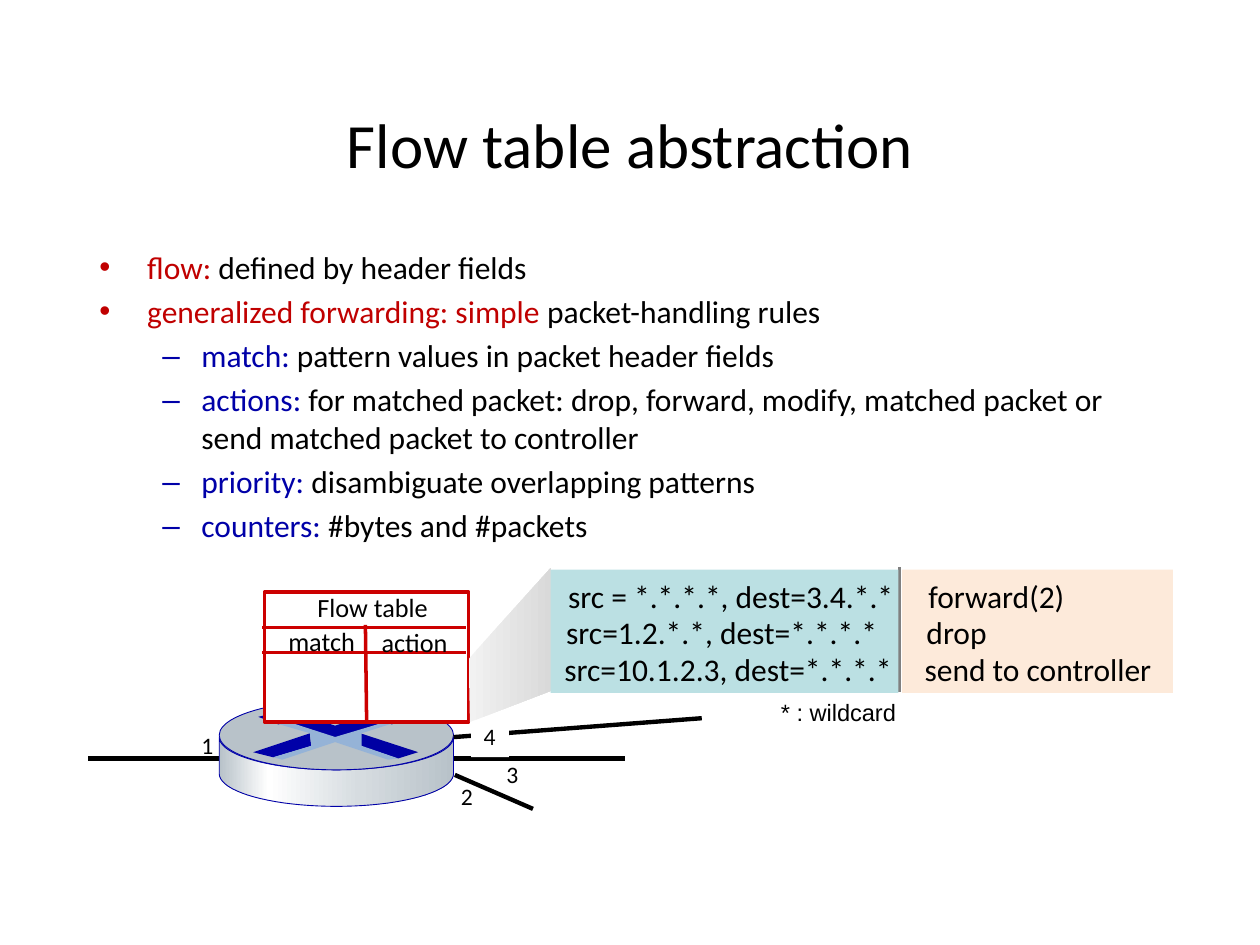
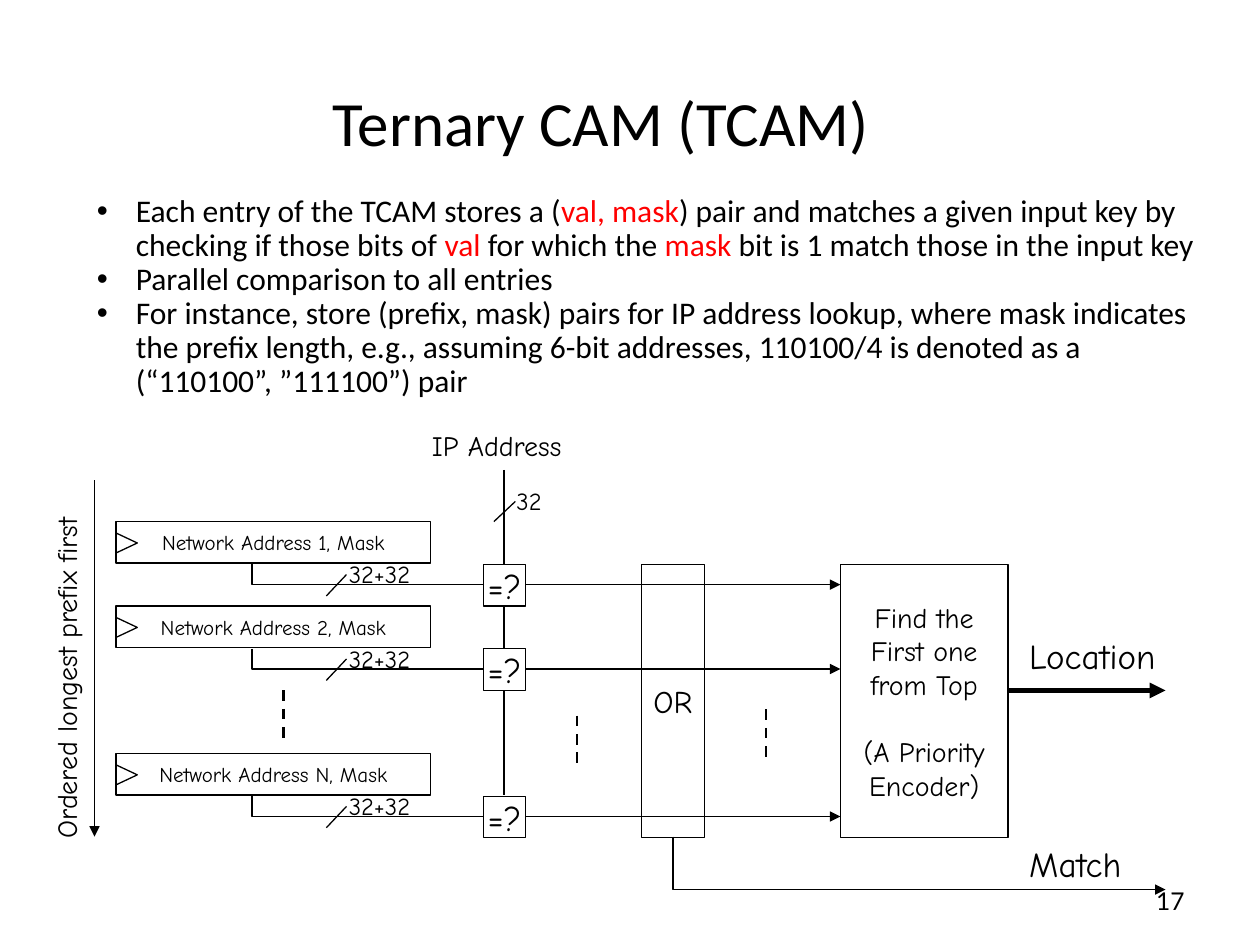
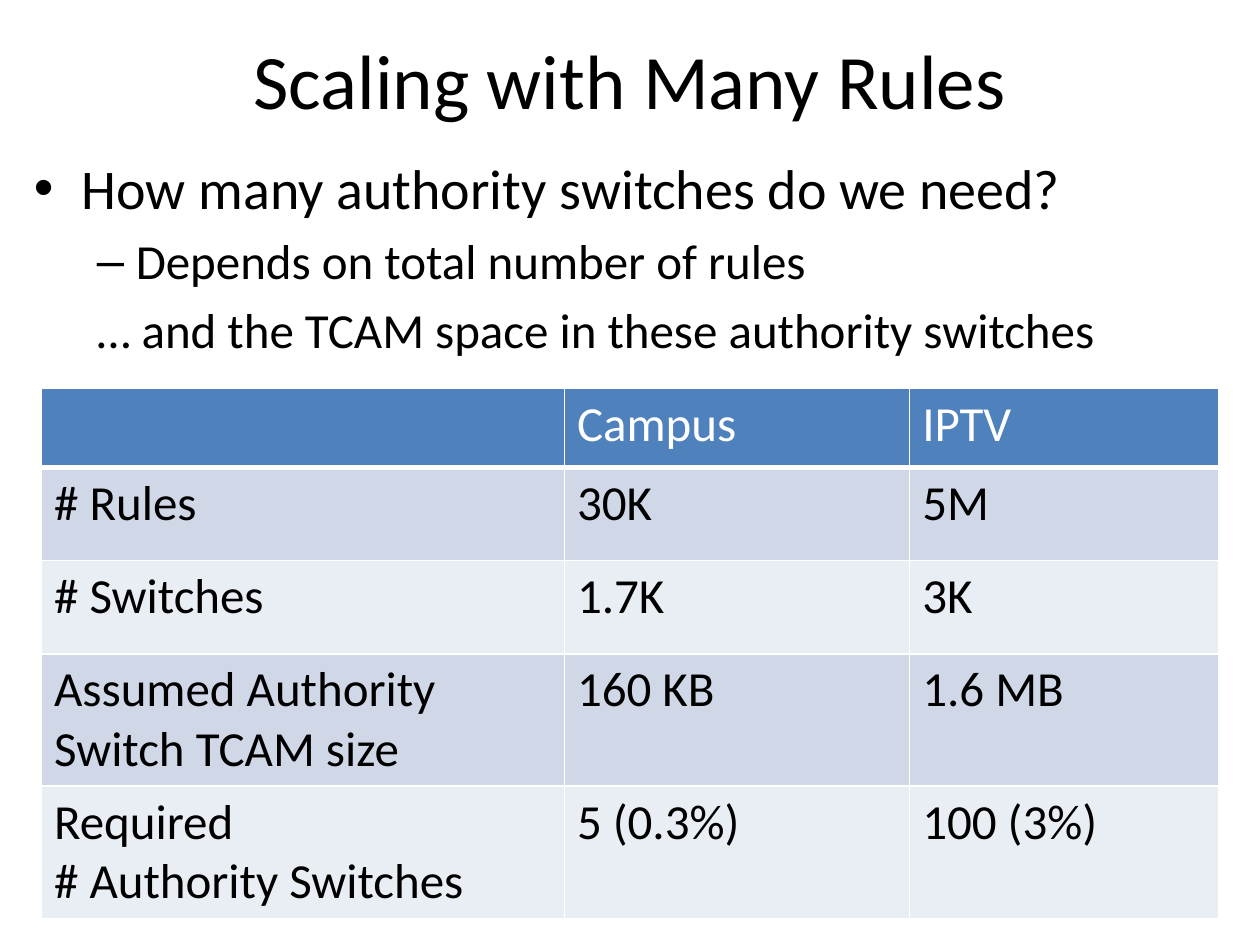
from dataclasses import dataclass
from math import cos, pi, sin
from typing import NamedTuple, Optional, Sequence, Union

from lxml.etree import SubElement
from pptx import Presentation
from pptx.dml.color import RGBColor
from pptx.enum.dml import MSO_LINE
from pptx.enum.shapes import MSO_CONNECTOR, MSO_SHAPE
from pptx.enum.text import MSO_ANCHOR, MSO_AUTO_SIZE, PP_ALIGN
from pptx.oxml.ns import qn
from pptx.util import Emu, Inches, Pt

SLIDE_W, SLIDE_H = Inches(10), Inches(7.5)
COLUMNS, ROWS = 100, 75
COLORS = {
    "black": "000000", "white": "FFFFFF", "red": "FF0000", "crimson": "C00000",
    "navy": "0000A8", "arrow": "0000A3", "frame": "CC0000", "steel": "B8C2C9",
    "mist": "D6DCE0", "sky": "95B3D7", "gray": "808080", "pale": "F2F2F2",
    "silver": "D9D9D9", "match": "BBE0E3", "action": "FDEADA",
    "header": "4F81BD", "band": "D0D8E8", "band2": "E9EDF4",
}
BODY, SKETCH = "Calibri", "Comic Neue"


class Box(NamedTuple):
    left: float
    top: float
    width: float
    height: float


class Point(NamedTuple):
    x: float
    y: float


class Run(NamedTuple):
    text: str
    color: Optional[str] = None


@dataclass
class Para:
    runs: Sequence[Run]
    level: int = 0
    margin: float = 0
    hang: float = 0
    bullet: str = ""
    size: Optional[float] = None
    before: float = 0
    spacing: Optional[float] = None
    tab: Optional[float] = None


class Stop(NamedTuple):
    position: int
    color: str


def col(x: float) -> Emu:
    return Emu(round(SLIDE_W * x / COLUMNS))


def row(y: float) -> Emu:
    return Emu(round(SLIDE_H * y / ROWS))


def place(box: Box) -> tuple:
    return col(box.left), row(box.top), col(box.width), row(box.height)


def rgb(name: str) -> RGBColor:
    return RGBColor.from_string(COLORS[name])


def write(tf, *paras: Union[str, Para], size=18.0, font=BODY, color="black",
          align=PP_ALIGN.LEFT, anchor=MSO_ANCHOR.TOP, wrap=False) -> None:
    tf.word_wrap = wrap
    tf.vertical_anchor = anchor
    for i, item in enumerate(paras):
        para = item if isinstance(item, Para) else Para([Run(item)])
        p = tf.paragraphs[0] if i == 0 else tf.add_paragraph()
        p.alignment = align
        p.level = para.level
        pPr = p._p.get_or_add_pPr()
        if para.margin:
            pPr.set("marL", str(Inches(para.margin)))
            pPr.set("indent", str(-Inches(para.hang)))
        if para.bullet:
            SubElement(pPr, qn("a:buFont"), typeface="Arial")
            SubElement(pPr, qn("a:buChar"), char=para.bullet)
        if para.tab:
            tabs = SubElement(pPr, qn("a:tabLst"))
            SubElement(tabs, qn("a:tab"), pos=str(Inches(para.tab)), algn="l")
        if para.spacing:
            p.line_spacing = para.spacing
        if i and para.before:
            p.space_before = Pt(para.before)
        for run in para.runs:
            r = p.add_run()
            r.text = run.text
            r.font.name = font
            r.font.size = Pt(para.size or size)
            r.font.bold = False
            r.font.color.rgb = rgb(run.color or color)


def bullet(*runs: Run, size=18.0) -> Para:
    return Para(runs, margin=0.38, hang=0.38, bullet="•", size=size, before=0.2 * size)


def dash(*runs: Run, size=18.0, mark="–") -> Para:
    return Para(runs, level=1, margin=0.81, hang=0.31, bullet=mark, size=size, before=0.2 * size)


def add_title_slide(prs, text: str, box: Box, size=36.0, anchor=MSO_ANCHOR.MIDDLE):
    s = prs.slides.add_slide(prs.slide_layouts[5])
    title = s.shapes.title
    title.left, title.top, title.width, title.height = place(box)
    write(title.text_frame, text, size=size, align=PP_ALIGN.CENTER, anchor=anchor, wrap=True)
    return s


def add_text(s, box: Box, *paras: Union[str, Para], grow=True, rotation=0.0, fill=None, **fmt):
    sp = s.shapes.add_textbox(*place(box))
    sp.rotation = rotation
    if fill:
        sp.fill.solid()
        sp.fill.fore_color.rgb = rgb(fill)
    write(sp.text_frame, *paras, **fmt)
    if grow:
        sp.text_frame.auto_size = MSO_AUTO_SIZE.SHAPE_TO_FIT_TEXT
    return sp


def style_line(sp, color: str, width: float, dashed=False, arrow=False) -> None:
    sp.line.color.rgb = rgb(color)
    sp.line.width = Pt(width)
    if dashed:
        sp.line.dash_style = MSO_LINE.DASH
    if arrow:
        SubElement(sp.element.spPr.get_or_add_ln(), qn("a:tailEnd"), type="triangle")


def paint(sp, fill: Union[None, str, Sequence[Stop]], line: Optional[str], width: float,
          arrow=False) -> None:
    sp.shadow.inherit = False
    if fill is None:
        sp.fill.background()
    elif isinstance(fill, str):
        sp.fill.solid()
        sp.fill.fore_color.rgb = rgb(fill)
    else:
        sp.fill.gradient()
        sp.fill.gradient_angle = 0
        stops = next(sp.element.spPr.iter(qn("a:gsLst")))
        for old in list(stops):
            stops.remove(old)
        for stop in fill:
            gs = SubElement(stops, qn("a:gs"), pos=str(stop.position * 1000))
            SubElement(gs, qn("a:srgbClr"), val=COLORS[stop.color])
    if line:
        style_line(sp, line, width, arrow=arrow)
    else:
        sp.line.fill.background()


def add_box(s, box: Box, *paras: Union[str, Para], fill=None, line=None, width=0.75,
            kind=MSO_SHAPE.RECTANGLE, **fmt):
    sp = s.shapes.add_shape(kind, *place(box))
    paint(sp, fill, line, width)
    if paras:
        write(sp.text_frame, *paras, align=PP_ALIGN.CENTER, anchor=MSO_ANCHOR.MIDDLE, **fmt)
    return sp


def add_line(s, start: Point, end: Point, color="black", width=0.75, dashed=False, arrow=False):
    cx = s.shapes.add_connector(MSO_CONNECTOR.STRAIGHT, col(start[0]), row(start[1]),
                                col(end[0]), row(end[1]))
    style_line(cx, color, width, dashed, arrow)
    SubElement(cx.element.spPr, qn("a:effectLst"))
    return cx


def add_outline(s, points: Sequence[Point], fill=None, line=None, width=0.75,
                closed=True, arrow=False):
    spots = [(col(x), row(y)) for x, y in points]
    fb = s.shapes.build_freeform(*spots[0], scale=1.0)
    fb.add_line_segments(spots[1:], close=closed)
    sp = fb.convert_to_shape()
    paint(sp, fill, line, width, arrow)
    return sp


def lower_arc(center: Point, rx: float, ry: float, steps=40) -> list[Point]:
    return [Point(center.x + rx * cos(pi * k / steps), center.y + ry * sin(pi * k / steps))
            for k in range(steps + 1)]


def draw_router(s) -> None:
    rim = lower_arc(Point(26.7, 58.5), 9.3, 2.6)
    base = lower_arc(Point(26.7, 61.4), 9.3, 2.6)
    side = [Stop(0, "steel"), Stop(21, "white"), Stop(60, "mist"), Stop(100, "steel")]
    add_outline(s, base + rim[::-1], fill=side, line="navy", width=0.5)
    add_box(s, Box(17.4, 55.6, 18.6, 5.5), fill="steel", line="navy", width=0.5,
            kind=MSO_SHAPE.OVAL)
    for color, points in (
        ("arrow", [(30.4, 56.3), (32.9, 56.8), (31.1, 57.5), (30.6, 57.3), (26.6, 58.6),
                   (22.9, 57.3), (22.1, 57.5), (20.5, 56.9), (22.9, 56.3), (26.6, 57.6)]),
        ("arrow", [(28.6, 58.2), (33.2, 59.7), (31.6, 60.2), (28.6, 59.2)]),
        ("navy", [(24.6, 58.2), (24.7, 59.2), (21.7, 60.1), (20.1, 59.7)]),
        ("sky", [(22.1, 57.4), (22.9, 57.3), (26.6, 58.5), (30.6, 57.3), (31.2, 57.4),
                 (28.7, 58.2), (28.7, 59.2), (31.6, 60.2), (30.8, 60.3), (26.6, 58.9),
                 (22.4, 60.3), (21.7, 60.1), (24.7, 59.2), (24.6, 58.2), (22.2, 57.5)]),
    ):
        add_outline(s, points, fill=color)


def draw_flow_table(s) -> None:
    add_box(s, Box(21, 47, 16.2, 10.3), fill="white", line="frame", width=2)
    for start, end in (((20.8, 49.8), (37, 49.8)), ((20.8, 51.8), (37, 51.8)),
                       ((29.1, 57.3), (29, 49.6))):
        add_line(s, start, end, color="frame", width=2)
    for text, box in (("Flow table", Box(24.2, 46.4, 10.9, 3.5)),
                      ("match", Box(21.9, 49.1, 7.4, 3.5)),
                      ("action", Box(29.3, 49.2, 7.3, 3.5))):
        add_text(s, box, text, size=15)


def draw_rules(s) -> None:
    add_text(s, Box(61, 54.9, 11.3, 3.3), "* : wildcard", size=13.5, font="Arial")
    add_outline(s, [(37.3, 57.3), (43.8, 54.8), (43.7, 45.1), (37.2, 52.3)],
                fill=[Stop(0, "pale"), Stop(100, "silver")])
    add_line(s, (71.4, 45), (71.4, 54.9), color="gray", width=2)
    add_box(s, Box(43.7, 45.2, 27.6, 9.8), fill="match")
    add_box(s, Box(71.6, 45.2, 21.5, 9.8), fill="action")
    rules = (("src = *.*.*.*, dest=3.4.*.*", "forward(2)"),
             ("src=1.2.*.*, dest=*.*.*.*", "drop"),
             ("src=10.1.2.3, dest=*.*.*.*", "send to controller"))
    for i, (match, action) in enumerate(rules):
        add_text(s, Box(44.1 - 0.15 * i, 45.3 + 2.9 * i, 49.1, 4),
                 Para([Run(f"{match}\t{action}")], tab=2.86), wrap=True)


def build_flow_slide(prs) -> None:
    s = add_title_slide(prs, "Flow table abstraction", Box(6.9, 7.7, 86.2, 7.3))
    terms = (("match: ", "pattern values in packet header fields"),
             ("actions: ", "for matched packet: drop, forward, modify, matched packet or "
                           "send matched packet to controller"),
             ("priority: ", "disambiguate overlapping patterns"),
             ("counters: ", "#bytes and #packets"))
    add_text(s, Box(6.9, 19.2, 86.2, 25),
             bullet(Run("flow: ", "crimson"), Run("defined by header fields")),
             bullet(Run("generalized forwarding: simple ", "crimson"),
                    Run("packet-handling rules")),
             *[dash(Run(term, "navy"), Run(meaning)) for term, meaning in terms],
             grow=False, wrap=True)
    add_line(s, (7, 60.2), (49.6, 60.2), width=2.5)
    draw_router(s)
    draw_flow_table(s)
    add_line(s, (36, 58.5), (55.7, 57), width=2.5)
    add_line(s, (36.1, 61.5), (42.3, 64.2), width=2.5)
    for port, left, top, fill in (("1", 15, 57.5, None), ("2", 35.6, 61.6, None),
                                  ("3", 39.2, 59.8, None), ("4", 37.4, 56.8, "white")):
        add_text(s, Box(left, top, 3, 3.3), port, size=13.5, fill=fill)
    draw_rules(s)


def draw_entry(s, name: str, top: float) -> None:
    wire = top + 5
    add_box(s, Box(9.2, top, 25, 3.3), f"Network Address {name}, Mask",
            line="black", size=12, font=SKETCH)
    add_outline(s, [(9.2, top + 0.9), (10.9, top + 1.7), (9.2, top + 2.5)],
                line="black", closed=False)
    add_outline(s, [(20, top + 3.4), (20, wire), (38.4, wire)], line="black", closed=False)
    add_box(s, Box(38.4, top + 3.4, 3.3, 3.3), "=?", fill="white", line="black",
            size=20, font=SKETCH)
    add_line(s, (41.7, wire), (66.7, wire), arrow=True)
    add_line(s, (25.9, wire + 0.9), (27.5, wire - 0.8))
    add_text(s, Box(26.7, top + 2.5, 7.7, 3.3), "32+32", size=14, font=SKETCH)


def build_tcam_slide(prs) -> None:
    s = add_title_slide(prs, "Ternary CAM (TCAM)", Box(12.9, 3.3, 69.6, 9.8),
                        anchor=MSO_ANCHOR.BOTTOM)
    add_text(s, Box(71.7, 69.5, 23.3, 4), "17", grow=False, size=14, font="Lato",
             align=PP_ALIGN.RIGHT, anchor=MSO_ANCHOR.MIDDLE, wrap=True)
    add_line(s, (40, 37.3), (40, 63.1))
    for name, top in (("1", 41.4), ("2", 48.1), ("N", 59.8)):
        draw_entry(s, name, top)
    add_box(s, Box(50.9, 44.8, 5, 21.7), "OR", line="black", font=SKETCH)
    add_box(s, Box(66.7, 44.8, 13.3, 21.7), "Find the", "First one", "from Top",
            Para([Run("(A Priority")], before=19.4), "Encoder)",
            line="black", size=16, font=SKETCH)
    for x, top in ((22.5, 54.8), (45.8, 56.8), (60.8, 56.3)):
        add_line(s, (x, top), (x, top + 4.2), width=1.5, dashed=True)
    add_line(s, (39.2, 41.4), (40.9, 39.8))
    add_outline(s, [(53.4, 66.4), (53.4, 70.6), (92.5, 70.6)], line="black",
                closed=False, arrow=True)
    add_line(s, (80, 54.8), (92.5, 54.8), width=3, arrow=True)
    add_line(s, (7.5, 38.1), (7.5, 66.4), arrow=True)
    for text, size, box, rotation in (
        ("32", 14, Box(40, 38.1, 4.4, 3.3), 0),
        ("Match", 20, Box(80.7, 66.4, 10.2, 4.3), 0),
        ("Location", 20, Box(80.7, 49.9, 12.8, 4.3), 0),
        ("IP Address", 16, Box(33.3, 33.5, 13.9, 3.7), 0),
        ("Ordered longest prefix first", 16, Box(-10.7, 49.7, 31.9, 3.7), 270),
    ):
        add_text(s, box, text, size=size, font=SKETCH, rotation=rotation)
    points = (
        [Run("Each entry of the TCAM stores a ("), Run("val, mask", "red"),
         Run(") pair and matches a given input key by checking if those bits of "),
         Run("val", "red"), Run(" for which the "), Run("mask", "red"),
         Run(" bit is 1 match those in the input key")],
        [Run("Parallel comparison to all entries")],
        [Run("For instance, store (prefix, mask) pairs for IP address lookup, where mask "
             "indicates the prefix length, e.g., assuming 6-bit addresses, 110100/4 is "
             "denoted as a (“110100”, ”111100”) pair")],
    )
    add_text(s, Box(6.7, 15, 90, 17.4),
             *[Para(runs, margin=0.31, hang=0.31, bullet="•", spacing=0.9) for runs in points],
             wrap=True)


def add_border(cell, side: str, width: float) -> None:
    ln = SubElement(cell._tc.get_or_add_tcPr(), qn(f"a:ln{side}"), w=str(Pt(width)))
    SubElement(SubElement(ln, qn("a:solidFill")), qn("a:srgbClr"), val=COLORS["white"])


def build_scaling_slide(prs) -> None:
    s = add_title_slide(prs, "Scaling with Many Rules", Box(5, 0, 90, 12.5), size=44)
    add_text(s, Box(1.7, 11.7, 96.7, 49.5),
             bullet(Run("How many authority switches do we need?"), size=32),
             dash(Run("Depends on total number of rules"), size=28),
             dash(Run("… and the TCAM space in these authority switches"), size=28, mark=""),
             grow=False, wrap=True)
    rows = (
        ([], ["Campus"], ["IPTV"]),
        (["# Rules"], ["30K"], ["5M"]),
        (["# Switches"], ["1.7K"], ["3K"]),
        (["Assumed Authority Switch TCAM size"], ["160 KB"], ["1.6 MB"]),
        (["Required", "# Authority Switches"], ["5 (0.3%)"], ["100 (3%)"]),
    )
    table = s.shapes.add_table(len(rows), 3, *place(Box(3.3, 30.8, 93.3, 41.6))).table
    table.first_row = table.horz_banding = False
    for column, width in zip(table.columns, (41.5, 27.4, 24.5)):
        column.width = col(width)
    for line, height in zip(table.rows, (6.3, 7.4, 7.4, 10.5, 10.5)):
        line.height = row(height)
    for i, texts in enumerate(rows):
        fill = "header" if i == 0 else ("band2", "band")[i % 2]
        for j, lines in enumerate(texts):
            cell = table.cell(i, j)
            for side in "LRTB":
                add_border(cell, side, 3 if i == 0 and side == "B" else 1)
            cell.fill.solid()
            cell.fill.fore_color.rgb = rgb(fill)
            write(cell.text_frame, *lines, size=28, color="black" if i else "white", wrap=True)


def main() -> None:
    prs = Presentation()
    prs.slide_width, prs.slide_height = SLIDE_W, SLIDE_H
    build_flow_slide(prs)
    build_tcam_slide(prs)
    build_scaling_slide(prs)
    prs.save("out.pptx")


if __name__ == "__main__":
    main()
